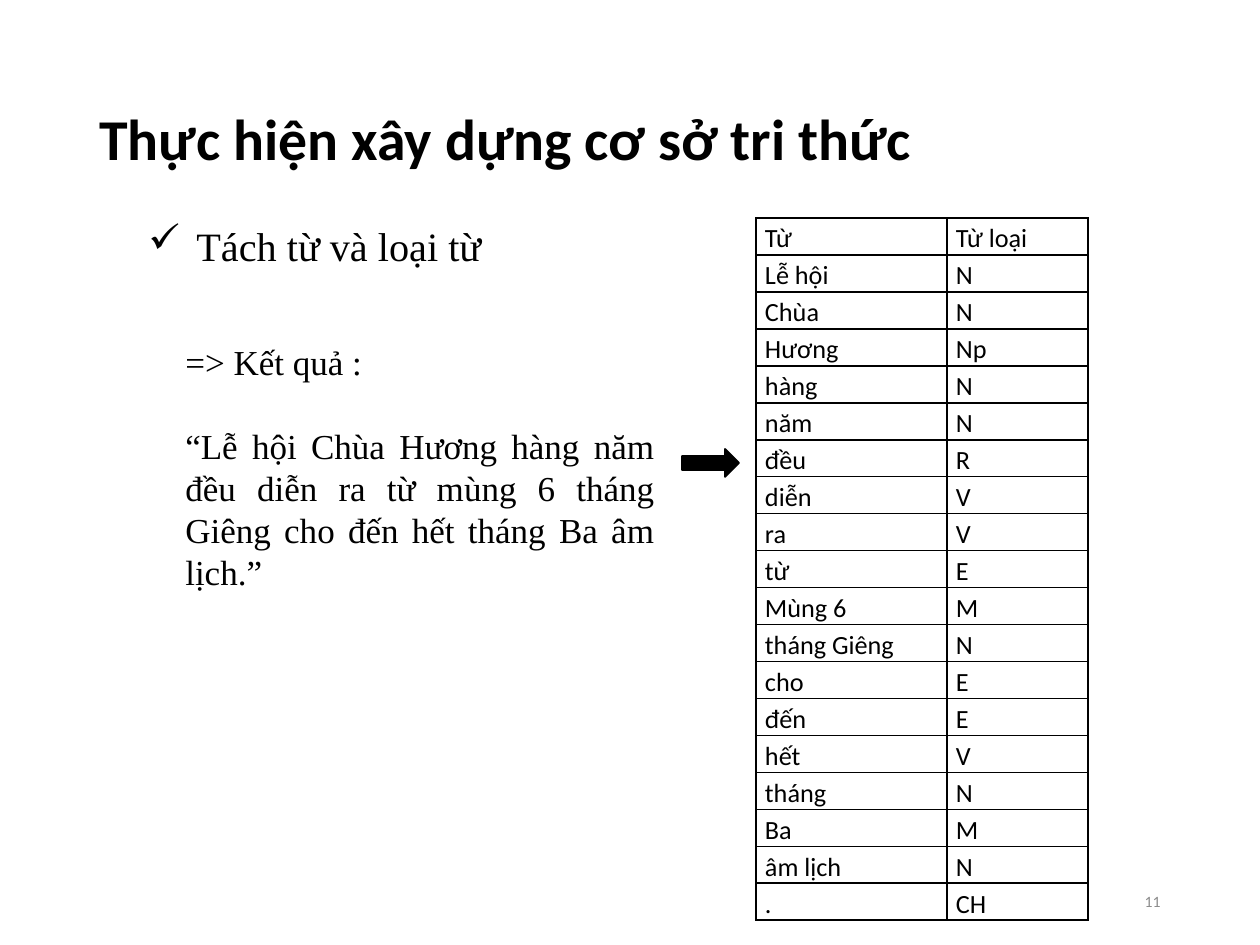
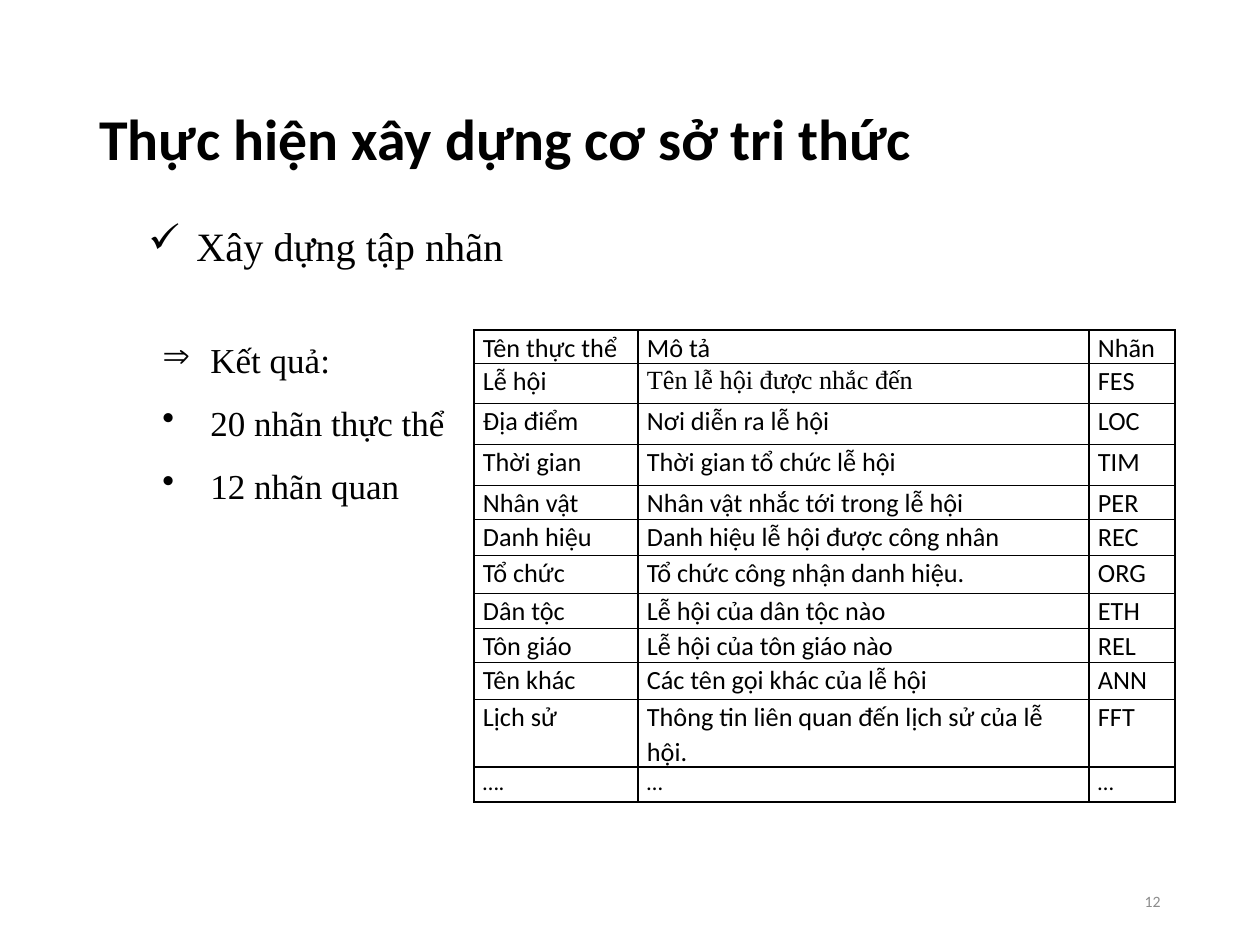
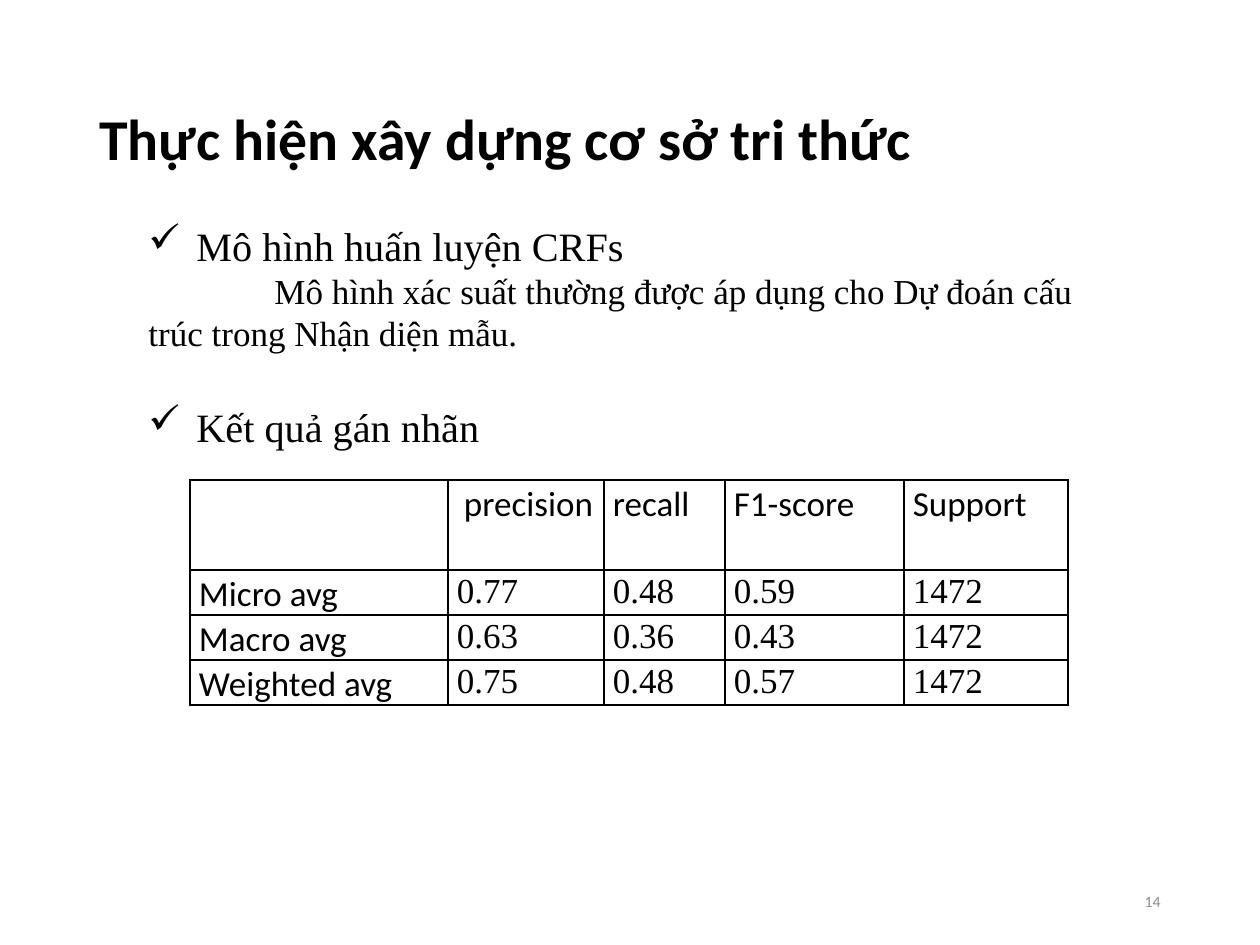
from lxml import etree
from pptx import Presentation
from pptx import util as u
from pptx.dml.color import RGBColor
from pptx.enum import shapes, text
from pptx.oxml import ns

# Shared style
BLACK = RGBColor(0x00, 0x00, 0x00)
GREY = RGBColor(0x8C, 0x8C, 0x8C)
SANS, SERIF = "Calibri", "Times New Roman"
HEADING, BODY, CELL = 23, 20, 15
TITLE = "Thực hiện xây dựng cơ sở tri thức"
HANG = 48


def px(length):
    return u.Emu(round(length * 914400 / 126))


class Pages:
    """Holds the deck, its style and the current page."""

    def __init__(self):
        self.deck = Presentation()
        self.deck.slide_width, self.deck.slide_height = px(1260), px(945)
        self.page = None

    def new_page(self, number):
        self.page = self.deck.slides.add_slide(self.deck.slide_layouts[6])
        title = self.text_box(87, 50, 1086, 183, text.MSO_ANCHOR.MIDDLE)
        self.add_para(title, TITLE, 33, SANS, bold=True, spacing=0.9)
        footer = self.text_box(890, 876, 283, 50, text.MSO_ANCHOR.MIDDLE)
        self.add_para(footer, str(number), 9, SANS, GREY, align=text.PP_ALIGN.RIGHT)

    def text_box(self, left, top, width, height, anchor=text.MSO_ANCHOR.TOP):
        box = self.page.shapes.add_textbox(px(left), px(top), px(width), px(height))
        box.text_frame.word_wrap = True
        box.text_frame.vertical_anchor = anchor
        return box.text_frame

    def add_para(self, frame, words, size=BODY, font=SERIF, color=BLACK, bold=False,
                 align=None, spacing=None, before=None, bullet=None, margin=0, indent=0):
        """Fill the first paragraph if it is empty, otherwise add one."""
        para = frame.paragraphs[0]
        if para.runs:
            para = frame.add_paragraph()
        if bullet:
            margin, indent = HANG, -HANG
        properties = para._p.get_or_add_pPr()
        if margin or indent:
            properties.set("marL", str(px(margin)))
            properties.set("indent", str(px(indent)))
        if bullet:
            etree.SubElement(properties, ns.qn("a:buChar")).set("char", bullet)
        if align is not None:
            para.alignment = align
        if spacing:
            para.line_spacing = spacing
        if before:
            para.space_before = u.Pt(before)
        span = para.add_run()
        span.text = words
        span.font.size, span.font.name, span.font.bold = u.Pt(size), font, bold
        span.font.color.rgb = color

    def heading(self, words, top, width=630, height=62):
        frame = self.text_box(136, top, width, height)
        self.add_para(frame, words, HEADING, bullet="✓")
        return frame

    def arrow(self, left, top, width, height):
        arrow = self.page.shapes.add_shape(
            shapes.MSO_SHAPE.RIGHT_ARROW, px(left), px(top), px(width), px(height))
        arrow.shadow.inherit = False
        arrow.fill.solid()
        arrow.fill.fore_color.rgb = BLACK
        arrow.line.color.rgb = BLACK
        arrow.line.width = u.Pt(1)

    def table(self, left, top, widths, heights, rows, look, **layout):
        """look(row, column) gives the size and font of a cell."""
        table = self.page.shapes.add_table(
            len(rows), len(widths), px(left), px(top),
            px(sum(widths)), px(sum(heights))).table
        table.first_row = table.horz_banding = False
        for column, width in zip(table.columns, widths):
            column.width = px(width)
        for r, (height, row) in enumerate(zip(heights, rows)):
            table.rows[r].height = px(height)
            for c, words in enumerate(row):
                cell = table.cell(r, c)
                cell.margin_left = cell.margin_right = px(9)
                cell.margin_top = cell.margin_bottom = 0
                cell.fill.background()
                self.border(cell)
                if words:
                    size, font = look(r, c)
                    self.add_para(cell.text_frame, words, size, font, **layout)
        return table

    def border(self, cell):
        properties = cell._tc.get_or_add_tcPr()
        for place, side in enumerate("LRTB"):
            line = etree.Element(ns.qn(f"a:ln{side}"), w=str(u.Pt(1)))
            fill = etree.SubElement(line, ns.qn("a:solidFill"))
            etree.SubElement(fill, ns.qn("a:srgbClr")).set("val", str(BLACK))
            properties.insert(place, line)


WORD_CLASSES = [
    ("Từ", "Từ loại"), ("Lễ hội", "N"), ("Chùa", "N"), ("Hương", "Np"),
    ("hàng", "N"), ("năm", "N"), ("đều", "R"), ("diễn", "V"), ("ra", "V"),
    ("từ", "E"), ("Mùng 6", "M"), ("tháng Giêng", "N"), ("cho", "E"),
    ("đến", "E"), ("hết", "V"), ("tháng", "N"), ("Ba", "M"),
    ("âm lịch", "N"), (".", "CH"),
]

LABELS = [
    ("Tên thực thể", "Mô tả", "Nhãn"),
    ("Lễ hội", "Tên lễ hội được nhắc đến", "FES"),
    ("Địa điểm", "Nơi diễn ra lễ hội", "LOC"),
    ("Thời gian", "Thời gian tổ chức lễ hội", "TIM"),
    ("Nhân vật", "Nhân vật nhắc tới trong lễ hội", "PER"),
    ("Danh hiệu", "Danh hiệu lễ hội được công nhân", "REC"),
    ("Tổ chức", "Tổ chức công nhận danh hiệu.", "ORG"),
    ("Dân tộc", "Lễ hội của dân tộc nào", "ETH"),
    ("Tôn giáo", "Lễ hội của tôn giáo nào", "REL"),
    ("Tên khác", "Các tên gọi khác của lễ hội", "ANN"),
    ("Lịch sử", "Thông tin liên quan đến lịch sử của lễ hội.", "FFT"),
    ("….", "…", "…"),
]
LABEL_HEIGHTS = [33, 40, 41, 41, 34, 36, 38, 35, 34, 37, 67, 35]

SCORES = [
    ("", "precision", "recall", "F1-score", "Support"),
    ("Micro avg", "0.77", "0.48", "0.59", "1472"),
    ("Macro avg", "0.63", "0.36", "0.43", "1472"),
    ("Weighted avg", "0.75", "0.48", "0.57", "1472"),
]


# Words and their classes
def word_page(pages):
    pages.new_page(11)
    pages.table(756, 218, [191, 141], [37] * len(WORD_CLASSES), WORD_CLASSES,
                lambda r, c: (CELL, SANS), align=text.PP_ALIGN.JUSTIFY, spacing=1.15)
    result = pages.text_box(173, 334, 494, 267)
    pages.add_para(result, "=> Kết quả :")
    pages.add_para(result, "“Lễ hội Chùa Hương hàng năm đều diễn ra từ mùng 6 tháng "
                   "Giêng cho đến hết tháng Ba âm lịch.”",
                   align=text.PP_ALIGN.JUSTIFY, before=24)
    pages.arrow(682, 449, 57, 28)
    pages.heading("Tách từ và loại từ", 215)


# Entity labels
def label_page(pages):
    def look(row, column):
        size = 13 if row == len(LABELS) - 1 else CELL
        return size, SERIF if (row, column) == (1, 1) else SANS

    pages.new_page(12)
    result = pages.text_box(150, 311, 417, 197)
    for bullet, words in (("⇒", "Kết quả:"), ("•", "20 nhãn thực thể"),
                          ("•", "12 nhãn quan")):
        pages.add_para(result, words, bullet=bullet, spacing=1.5)
    pages.heading("Xây dựng tập nhãn", 215)
    pages.table(474, 330, [164, 451, 86], LABEL_HEIGHTS, LABELS, look, spacing=1.07)


# Model and its scores
def score_page(pages):
    pages.new_page(14)
    model = pages.heading("Mô hình huấn luyện CRFs", 215, 979, 146)
    pages.add_para(model, "Mô hình xác suất thường được áp dụng cho Dự đoán cấu trúc "
                   "trong Nhận diện mẫu.", indent=126)
    scores = pages.table(190, 480, [258, 156, 121, 179, 164], [90, 45, 45, 45], SCORES,
                         lambda r, c: (BODY, SERIF if r and c else SANS), spacing=1.07)
    scores.cell(0, 1).margin_left = px(16)
    scores.cell(0, 1).margin_right = px(4)
    pages.heading("Kết quả gán nhãn", 396)


def main():
    pages = Pages()
    word_page(pages)
    label_page(pages)
    score_page(pages)
    pages.deck.save("out.pptx")


if __name__ == "__main__":
    main()
